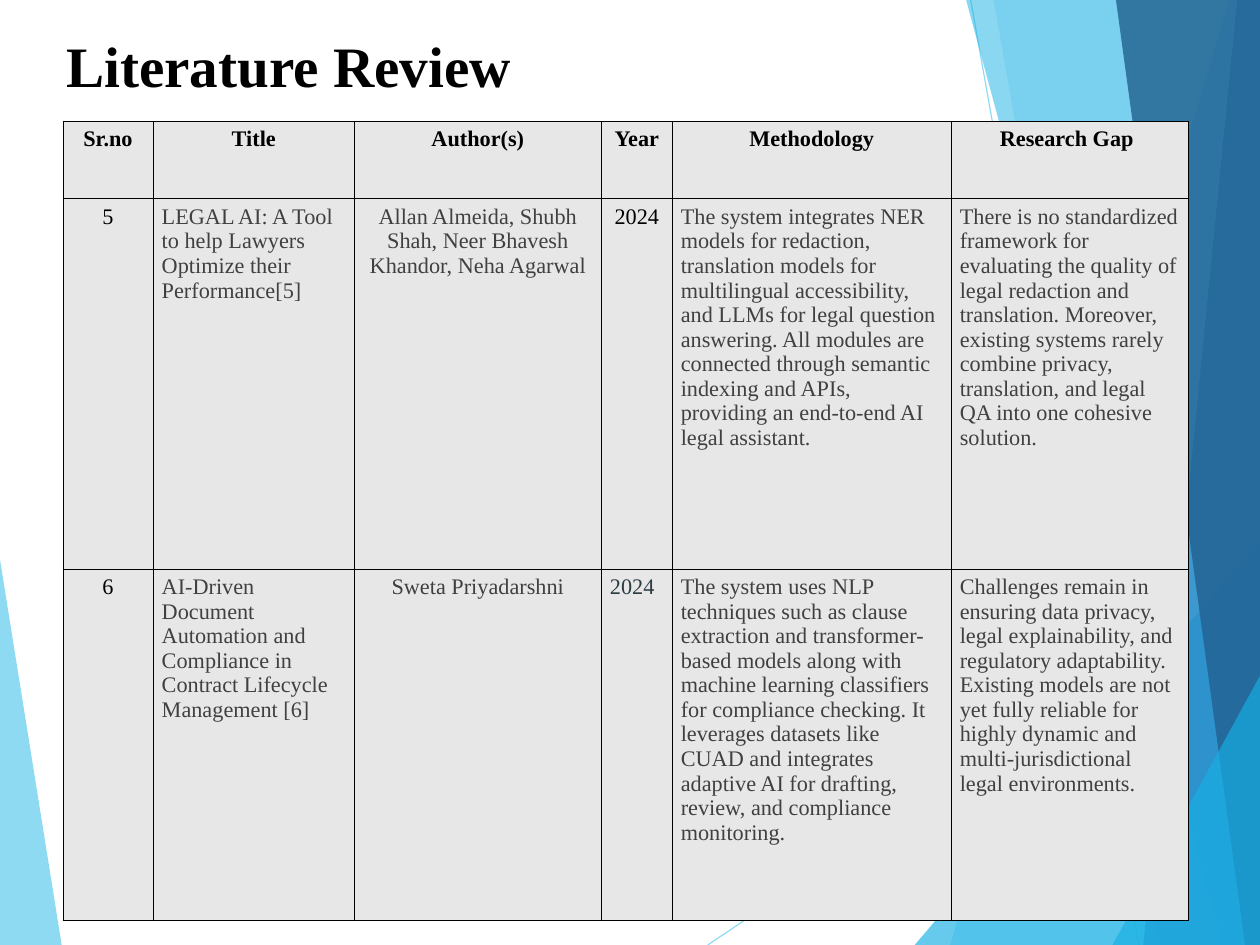
"""Builds the literature review slide with its faceted backdrop and table."""
from lxml import etree
from pptx import Presentation
from pptx import util as u
from pptx.dml.color import RGBColor
from pptx.enum import shapes, text
from pptx.oxml import ns

FONT = "Times New Roman"
BLACK = RGBColor(0, 0, 0)
GREY = RGBColor(0x40, 0x40, 0x40)
SLATE = RGBColor(0x2C, 0x3C, 0x43)
CELL = RGBColor(0xE7, 0xE7, 0xE7)
SKY = RGBColor(0x5F, 0xCB, 0xEF)
CYAN = RGBColor(0x17, 0xB0, 0xE4)
BLUE = RGBColor(0x2E, 0x83, 0xC3)
NAVY = RGBColor(0x23, 0x62, 0x92)

LEFT, CENTER = text.PP_ALIGN.LEFT, text.PP_ALIGN.CENTER

TITLE_BOX = (4.36, 2.54, 89.93, 7.74)
TABLE_BOX = (4.99, 12.82, 89.3, 84.62)

LEFT_FACET = (SKY, 70, [(0, 59.2), (4.9, 100), (0, 100)])
RIGHT_FACETS = [
    (SKY, 36, [(97.55, 0), (75.41, 100), (100, 100), (100, 0)]),
    (SKY, 20, [(78.86, 0), (92.01, 100), (100, 100), (100, 0)]),
    (CYAN, 66, [(72.6, 100), (100, 57.19), (100, 100)]),
    (CYAN, 50, [(76.68, 0), (97, 100), (100, 100), (100, 0)]),
    (BLUE, 70, [(98.19, 0), (90.74, 100), (100, 100), (100, 0)]),
    (NAVY, 82, [(88.57, 0), (98.82, 100), (100, 100), (100, 0)]),
    (CYAN, 66, [(88.29, 100), (100, 71.5), (100, 100)]),
]
RAYS = [[(56.17, 100), (100, 60.82)], [(77.04, 0), (90.38, 100)]]

COLUMNS = [0.79, 1.76, 2.16, 0.62, 2.44, 2.07]
ROWS = [0.68, 3.24, 3.08]
ALIGNS = [CENTER, LEFT, CENTER, CENTER, LEFT, LEFT]
COLORS = [BLACK, GREY, GREY, BLACK, GREY, GREY]
CELLS = [
    ["Sr.no", "Title", "Author(s)", "Year", "Methodology", "Research Gap "],
    [
        "5",
        "LEGAL AI: A Tool to help Lawyers Optimize their Performance[5]",
        "Allan Almeida, Shubh Shah, Neer Bhavesh Khandor, Neha Agarwal",
        "2024",
        "The system integrates NER models for redaction, translation models for "
        "multilingual accessibility, and LLMs for legal question answering. All "
        "modules are connected through semantic indexing and APIs, providing an "
        "end-to-end AI legal assistant.",
        "There is no standardized framework for evaluating the quality of legal "
        "redaction and translation. Moreover, existing systems rarely combine "
        "privacy, translation, and legal QA into one cohesive solution.",
    ],
    [
        "6",
        "AI-Driven Document Automation and Compliance in Contract Lifecycle "
        "Management [6]",
        "Sweta Priyadarshni",
        "2024",
        "The system uses NLP techniques such as clause extraction and "
        "transformer-based models along with machine learning classifiers for "
        "compliance checking. It leverages datasets like CUAD and integrates "
        "adaptive AI for drafting, review, and compliance monitoring.",
        "Challenges remain in ensuring data privacy, legal explainability, and "
        "regulatory adaptability. Existing models are not yet fully reliable for "
        "highly dynamic and multi-jurisdictional legal environments.",
    ],
]


def place(box, x, y):
    """Return the point at x and y percent of a box."""
    left, top, width, height = box
    return round(left + width * x / 100), round(top + height * y / 100)


def sub_box(box, part):
    """Return the part of a box given in percent as lengths."""
    x, y, width, height = part
    return (*place(box, x, y), *place((0, 0, *box[2:]), width, height))


def set_alpha(parent, percent):
    """Set the opacity of the colour inside an element."""
    color = next(parent.iter(ns.qn("a:srgbClr")))
    etree.SubElement(color, ns.qn("a:alpha"), val=str(percent * 1000))


def style_font(p, size, color, bold=False):
    """Set the font of a paragraph."""
    p.font.name, p.font.size, p.font.bold = FONT, u.Pt(size), bold
    p.font.color.rgb = color


def add_facet(s, box, color, alpha, points):
    """Draw one translucent polygon."""
    start, *rest = [place(box, x, y) for x, y in points]
    builder = s.shapes.build_freeform(*start)
    builder.add_line_segments(rest)
    sp = builder.convert_to_shape()
    sp.shadow.inherit = False
    sp.fill.solid()
    sp.fill.fore_color.rgb = color
    sp.line.fill.background()
    set_alpha(sp._element.spPr, alpha)


def add_backdrop(s, box):
    """Draw the facets and thin rays at the edges of the slide."""
    add_facet(s, box, *LEFT_FACET)
    for start, end in RAYS:
        ray = s.shapes.add_connector(
            shapes.MSO_CONNECTOR.STRAIGHT, *place(box, *start), *place(box, *end))
        ray.line.color.rgb = SKY
        ray.line.width = u.Pt(0.75)
        set_alpha(ray._element.spPr, 70)
        etree.SubElement(ray._element.spPr, ns.qn("a:effectLst"))
    for facet in RIGHT_FACETS:
        add_facet(s, box, *facet)


def add_title(s, box):
    """Write the slide title."""
    tf = s.shapes.add_textbox(*box).text_frame
    tf.word_wrap = True
    tf.margin_top = u.Inches(0.06)
    p = tf.paragraphs[0]
    p.text = "Literature Review"
    style_font(p, 36, BLACK, True)


def add_borders(cell):
    """Give a cell thin black edges."""
    props = cell._tc.get_or_add_tcPr()
    for i, side in enumerate(("lnL", "lnR", "lnT", "lnB")):
        ln = etree.Element(ns.qn(f"a:{side}"), w=str(u.Pt(0.45)))
        fill = etree.SubElement(ln, ns.qn("a:solidFill"))
        etree.SubElement(fill, ns.qn("a:srgbClr"), val=str(BLACK))
        props.insert(i, ln)


def fill_cell(cell, words, align, color, bold):
    """Write and style one table cell."""
    cell.margin_left = cell.margin_right = u.Cm(0.19)
    cell.margin_top = cell.margin_bottom = u.Inches(0.05)
    cell.fill.solid()
    cell.fill.fore_color.rgb = CELL
    add_borders(cell)
    p = cell.text_frame.paragraphs[0]
    p.text, p.alignment = words, align
    style_font(p, 14, color, bold)


def add_review_table(s, box):
    """Draw the table of reviewed papers."""
    table = s.shapes.add_table(len(ROWS), len(COLUMNS), *box).table
    table.first_row = table.horz_banding = False
    for column, share in zip(table.columns, COLUMNS):
        column.width = round(box[2] * share / sum(COLUMNS))
    for row, share in zip(table.rows, ROWS):
        row.height = round(box[3] * share / sum(ROWS))
    for i, row in enumerate(CELLS):
        for j, words in enumerate(row):
            align, color = ALIGNS[j], COLORS[j]
            if i == 0:
                align, color = CENTER, BLACK
            elif (i, j) == (2, 3):
                align, color = LEFT, SLATE
            fill_cell(table.cell(i, j), words, align, color, i == 0)


def main():
    """Build and save the slide."""
    prs = Presentation()
    prs.slide_width, prs.slide_height = u.Cm(28), u.Cm(21)
    s = prs.slides.add_slide(prs.slide_layouts[6])
    page = (0, 0, prs.slide_width, prs.slide_height)
    add_backdrop(s, page)
    add_title(s, sub_box(page, TITLE_BOX))
    add_review_table(s, sub_box(page, TABLE_BOX))
    prs.save("out.pptx")


if __name__ == "__main__":
    main()
